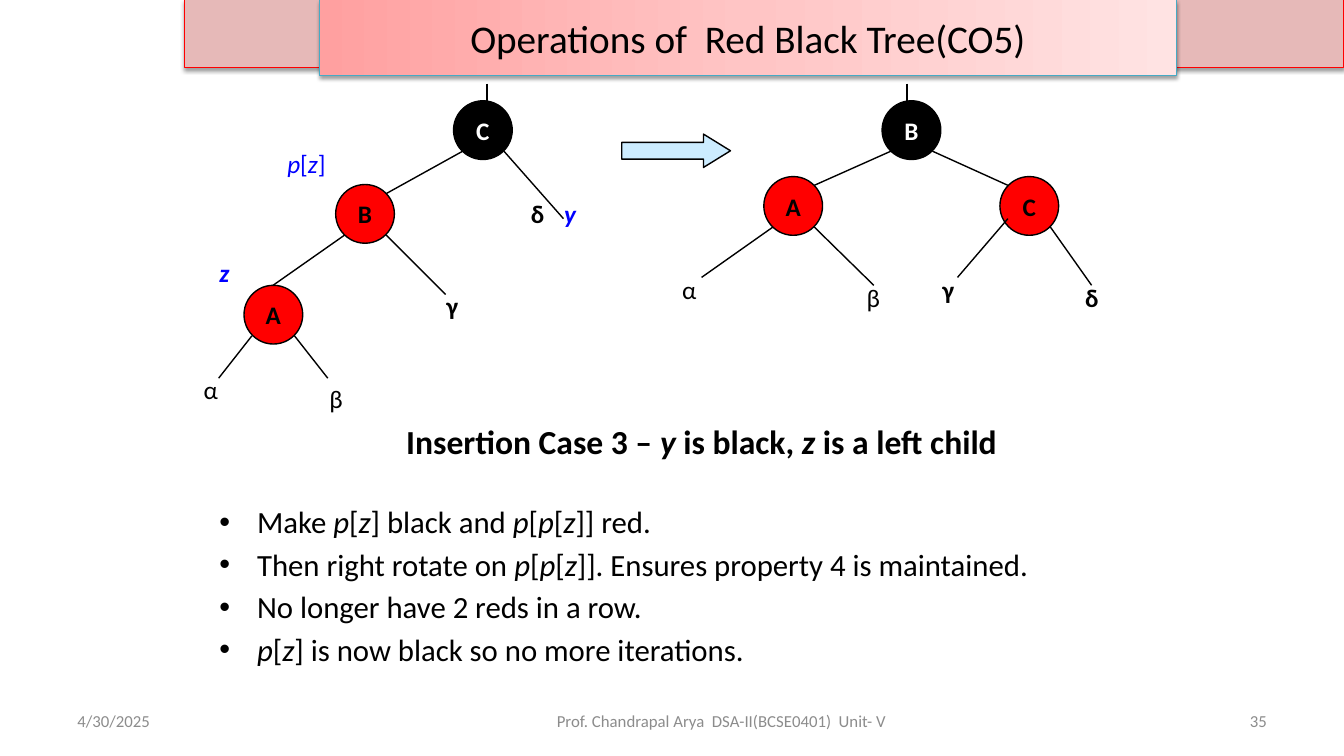
"""Build the slide on insertion case 3 of a red-black tree."""
from copy import deepcopy
from dataclasses import dataclass

from lxml.etree import SubElement
from pptx import Presentation
from pptx.dml.color import RGBColor
from pptx.enum.shapes import MSO_CONNECTOR, MSO_SHAPE
from pptx.enum.text import MSO_ANCHOR, PP_ALIGN
from pptx.oxml.ns import qn
from pptx.util import Cm, Pt


@dataclass(frozen=True)
class Theme:
    font: str = "Calibri"
    black: RGBColor = RGBColor.from_string("000000")
    white: RGBColor = RGBColor.from_string("FFFFFF")
    red: RGBColor = RGBColor.from_string("FF0000")
    blue: RGBColor = RGBColor.from_string("0000FF")
    grey: RGBColor = RGBColor.from_string("8C8C8C")
    band: RGBColor = RGBColor.from_string("E6B9B8")
    arrow: RGBColor = RGBColor.from_string("CCECFF")
    banner_line: RGBColor = RGBColor.from_string("46AAC5")
    banner_stops: tuple = ((0, "FFA0A0"), (0.5, "FFC5C5"), (1, "FFE3E3"))
    banner_size: int = 28
    heading_size: int = 24
    body_size: int = 22
    tree_size: int = 18
    footer_size: int = 12


theme = Theme()
deck = Presentation()
deck.slide_width, deck.slide_height = Cm(33.87), Cm(19.05)
page = deck.slides.add_slide(deck.slide_layouts[6])


def add_shape(kind, frame, fill, line, width=1):
    """Draw a preset shape in a frame given in centimetres."""
    shape = page.shapes.add_shape(kind, *map(Cm, frame))
    shape.shadow.inherit = False
    shape.fill.solid()
    shape.fill.fore_color.rgb = fill
    shape.line.color.rgb = line
    shape.line.width = Pt(width)
    return shape


def write(box, lines, size, color, align=PP_ALIGN.LEFT, bold=False,
          anchor=MSO_ANCHOR.TOP, wrap=True):
    """Fill a box with lines in which asterisks enclose italics."""
    frame = box.text_frame
    frame.word_wrap = wrap
    frame.vertical_anchor = anchor
    for index, line in enumerate(lines):
        para = frame.add_paragraph() if index else frame.paragraphs[0]
        para.alignment = align
        for position, part in enumerate(line.split("*")):
            if part:
                span = para.add_run()
                span.text = part
                span.font.name = theme.font
                span.font.size = Pt(size)
                span.font.color.rgb = color
                span.font.bold = bold
                span.font.italic = position % 2 == 1


band = add_shape(MSO_SHAPE.RECTANGLE, (4.65, 0, 29.21, 1.7), theme.band, theme.red, 0.75)
banner = add_shape(MSO_SHAPE.RECTANGLE, (8.05, 0, 21.59, 1.9), theme.white, theme.banner_line, 0.75)
for bar in (band, banner):
    effects = bar._element.spPr.find(qn("a:effectLst"))
    shadow = SubElement(effects, qn("a:outerShdw"), blurRad=str(Pt(3.1)),
                        dist=str(Pt(1.6)), dir="5400000", rotWithShape="0")
    shade = SubElement(shadow, qn("a:srgbClr"), val=str(theme.black))
    SubElement(shade, qn("a:alpha"), val="38000")

banner.fill.gradient()
banner.fill.gradient_angle = 0
stop_list = banner._element.spPr.find(".//" + qn("a:gsLst"))
stop_list.insert(1, deepcopy(stop_list[0]))
for stop, (position, color) in zip(banner.fill.gradient_stops, theme.banner_stops):
    stop.position = position
    stop.color.rgb = RGBColor.from_string(color)
write(banner, ["Operations of  Red Black Tree(CO5)"], theme.banner_size, theme.black,
      PP_ALIGN.CENTER, anchor=MSO_ANCHOR.MIDDLE)

heading = page.shapes.add_textbox(Cm(4.98), Cm(10.49), Cm(25.4), Cm(2.54))
write(heading, ["Insertion Case 3 – *y *is black, *z* is a left child"],
      theme.heading_size, theme.black, PP_ALIGN.CENTER, bold=True)

steps = page.shapes.add_textbox(Cm(5.28), Cm(12.55), Cm(23.5), Cm(4.29))
write(steps, [
    "Make *p*[*z*] black and *p*[*p*[*z*]] red.",
    "Then right rotate on *p*[*p*[*z*]]. Ensures property 4 is maintained.",
    "No longer have 2 reds in a row.",
    "*p*[*z*] is now black so no more iterations.",
], theme.body_size, theme.black, PP_ALIGN.JUSTIFY)
for index, para in enumerate(steps.text_frame.paragraphs):
    para.space_before = Pt(4 if index else 0)
    properties = para._p.get_or_add_pPr()
    properties.set("marL", str(Cm(0.95)))
    properties.set("indent", str(-Cm(0.95)))
    SubElement(properties, qn("a:buFont"), typeface="Arial")
    SubElement(properties, qn("a:buChar"), char="•")

arrow = add_shape(MSO_SHAPE.RIGHT_ARROW, (15.67, 3.38, 2.74, 0.84), theme.arrow, theme.black)
arrow.adjustments[1] = 0.81

node_size = 1.48
nodes = [
    ("C", 11.43, 2.54, theme.black, theme.white),
    ("B", 8.46, 4.65, theme.red, theme.black),
    ("A", 6.15, 7.19, theme.red, theme.black),
    ("B", 22.23, 2.54, theme.black, theme.white),
    ("A", 19.25, 4.45, theme.red, theme.black),
    ("C", 25.2, 4.45, theme.red, theme.black),
]
for name, left, top, fill, color in nodes:
    node = add_shape(MSO_SHAPE.OVAL, (left, top, node_size, node_size), fill, theme.black)
    write(node, [name], theme.tree_size, color, PP_ALIGN.CENTER, bold=True,
          anchor=MSO_ANCHOR.MIDDLE, wrap=False)

edges = [
    (12.27, 2.11, 12.27, 2.54),
    (11.66, 3.81, 9.73, 4.88),
    (12.7, 3.81, 14.2, 5.51),
    (8.69, 5.92, 6.88, 7.19),
    (9.73, 5.92, 11.23, 7.42),
    (6.35, 8.46, 5.51, 9.53),
    (7.42, 8.46, 8.26, 9.53),
    (22.86, 2.11, 22.86, 2.54),
    (22.45, 3.81, 20.52, 4.67),
    (23.5, 3.81, 25.4, 4.67),
    (19.48, 5.72, 17.68, 6.99),
    (20.52, 5.72, 22.02, 7.19),
    (25.4, 5.51, 24.13, 6.99),
    (26.47, 5.72, 27.51, 7.19),
]
for ends in edges:
    edge = page.shapes.add_connector(MSO_CONNECTOR.STRAIGHT, *map(Cm, ends))
    edge.line.color.rgb = theme.black
    edge.line.width = Pt(1)
    SubElement(edge._element.spPr, qn("a:effectLst"))

labels = [
    ("*p*[*z*]", 6.99, 3.61, 1.6, theme.blue, False),
    ("*z*", 5.28, 6.35, 0.76, theme.blue, True),
    ("*y*", 13.97, 4.88, 0.81, theme.blue, True),
    ("δ", 13.13, 4.88, 0.94, theme.black, True),
    ("γ", 11, 7.19, 1.04, theme.black, True),
    ("α", 4.88, 9.32, 0.91, theme.black, False),
    ("β", 8.05, 9.53, 0.86, theme.black, False),
    ("α", 16.94, 6.78, 0.91, theme.black, False),
    ("β", 21.59, 6.99, 0.86, theme.black, False),
    ("γ", 23.5, 6.78, 1.07, theme.black, True),
    ("δ", 27.1, 6.99, 0.94, theme.black, True),
]
for text, left, top, width, color, bold in labels:
    label = page.shapes.add_textbox(Cm(left), Cm(top), Cm(width), Cm(1.02))
    write(label, [text], theme.tree_size, color, bold=bold)

footers = [
    ("4/30/2025", 1.7, 7.9, PP_ALIGN.LEFT),
    ("Prof. Chandrapal Arya  DSA-II(BCSE0401)  Unit- V", 12.9, 10.57, PP_ALIGN.CENTER),
    ("35", 24.28, 7.9, PP_ALIGN.RIGHT),
]
for text, left, width, align in footers:
    footer = page.shapes.add_textbox(Cm(left), Cm(17.65), Cm(width), Cm(1.02))
    write(footer, [text], theme.footer_size, theme.grey, align, anchor=MSO_ANCHOR.MIDDLE)

deck.save("out.pptx")
